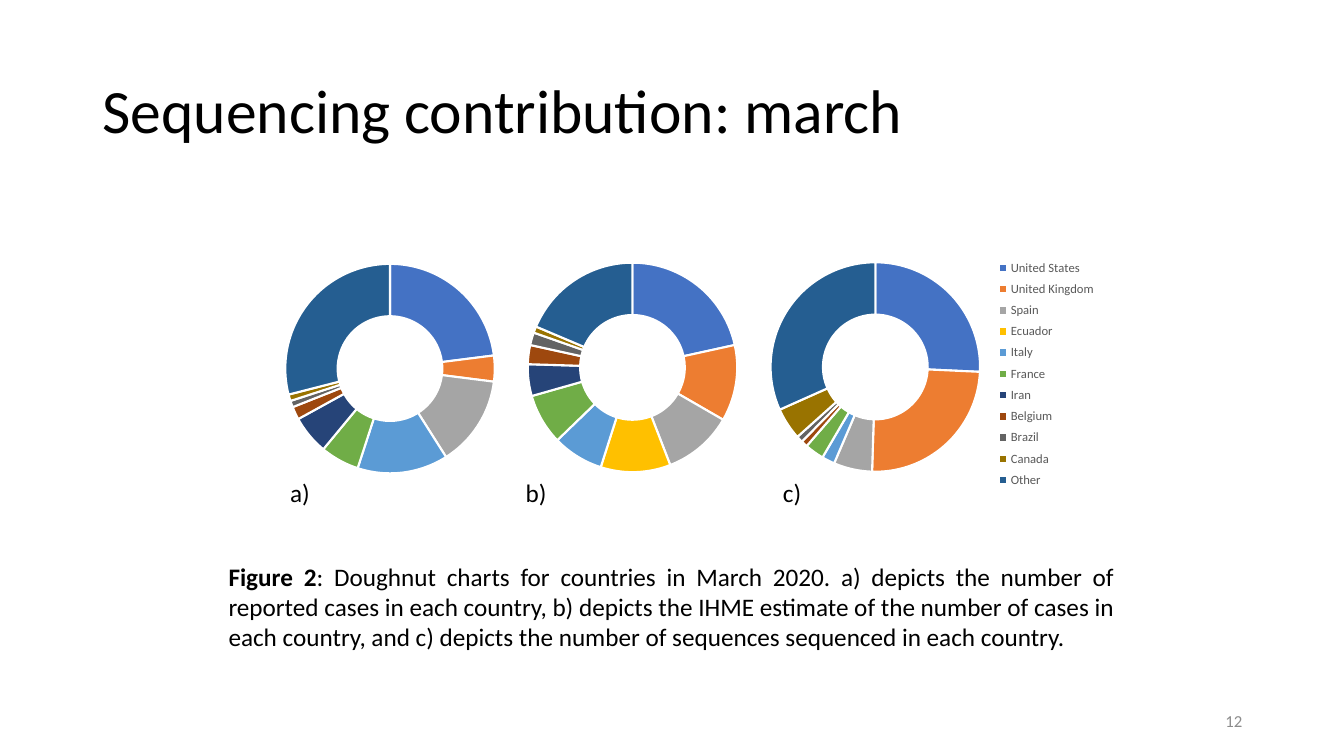
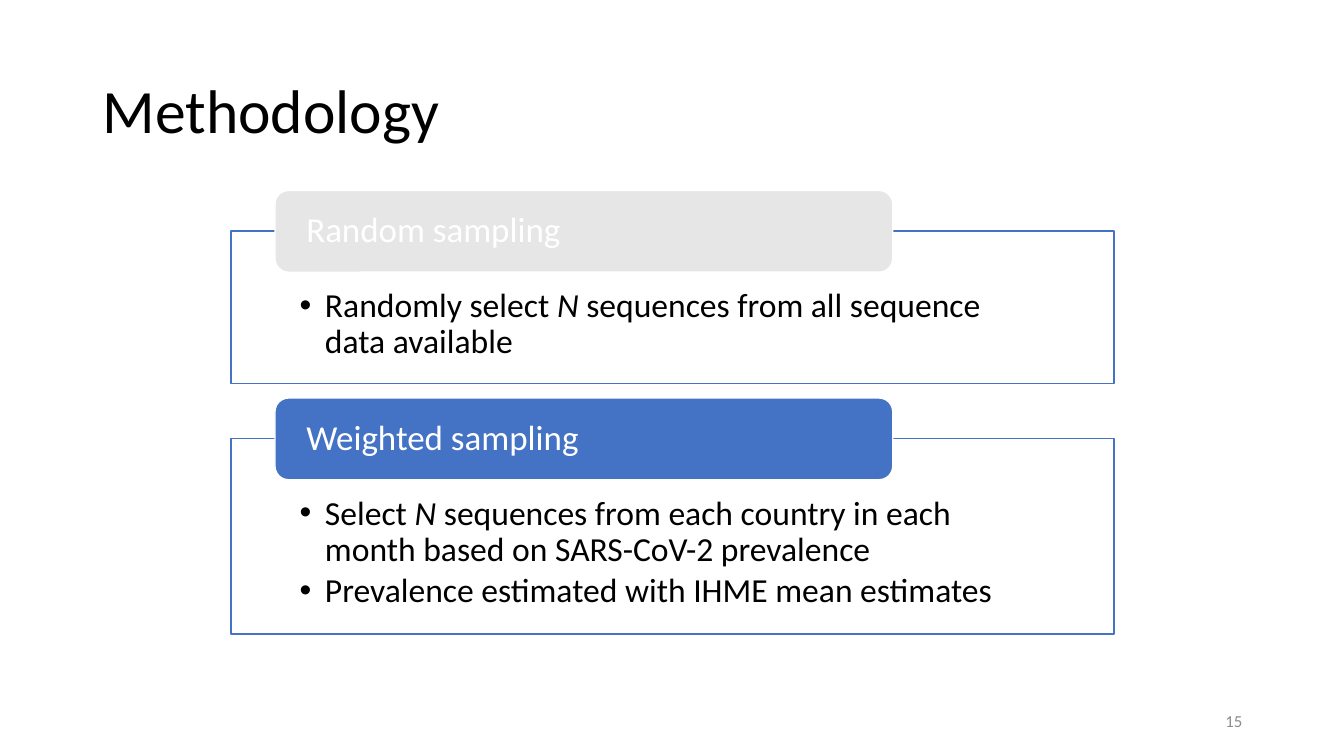
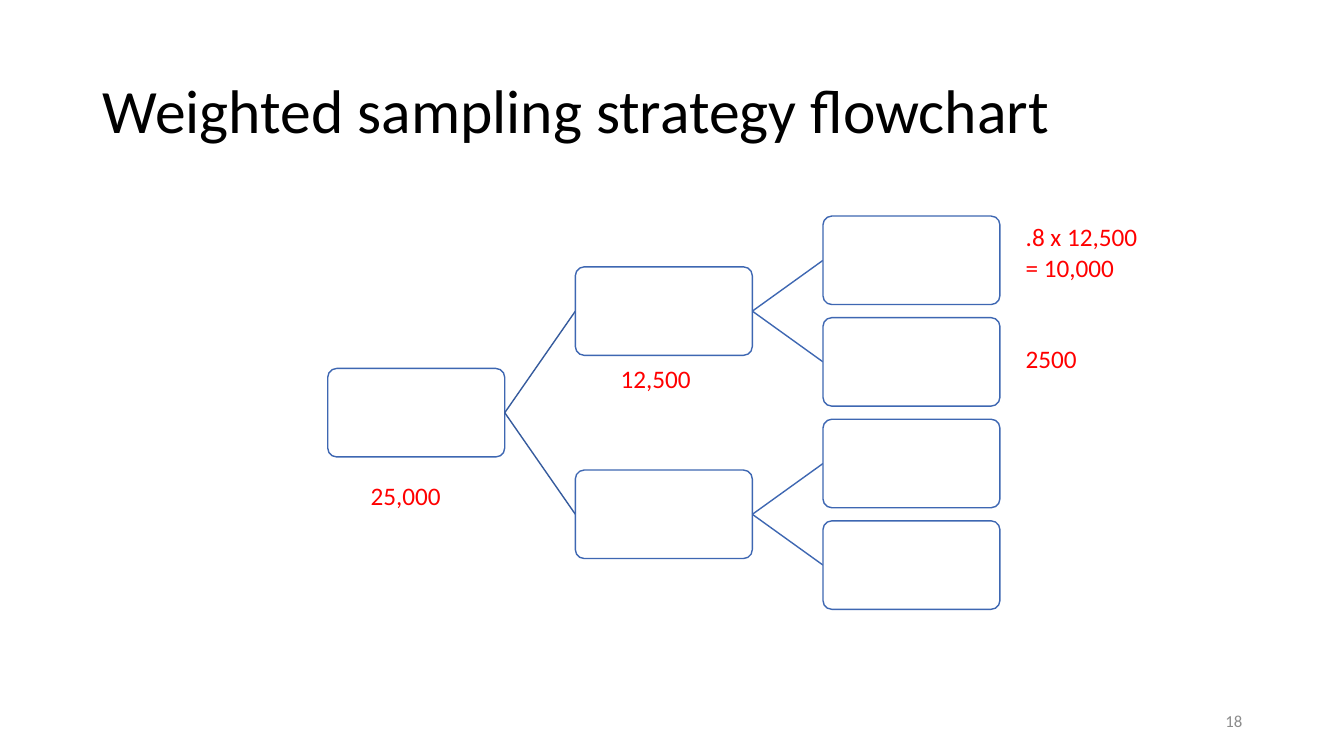
from lxml import etree
from pptx import Presentation
from pptx.chart.data import CategoryChartData
from pptx.dml.color import RGBColor
from pptx.enum.chart import XL_CHART_TYPE, XL_LEGEND_POSITION
from pptx.enum.shapes import MSO_CONNECTOR, MSO_SHAPE
from pptx.enum.text import MSO_ANCHOR, MSO_AUTO_SIZE, PP_ALIGN
from pptx.oxml.ns import qn
from pptx.util import Cm, Pt

LEFT, RIGHT, JUSTIFY = PP_ALIGN.LEFT, PP_ALIGN.RIGHT, PP_ALIGN.JUSTIFY
TOP, MIDDLE = MSO_ANCHOR.TOP, MSO_ANCHOR.MIDDLE
ROUNDED = MSO_SHAPE.ROUNDED_RECTANGLE
TITLE_ONLY, TWO_CONTENT = 5, 3

# Shared style
FONT = "Calibri"
COLORS = {
    "text": "000000", "white": "FFFFFF", "number": "8C8C8C", "legend": "595959",
    "accent": "4472C4", "muted": "E7E6E6", "tree": "3E67B2", "root_link": "365B9D",
    "count": "FF0000",
}
TITLE_BOX = (2.33, 1.01, 29.21, 3.68)
NUMBER_BOX = (23.94, 17.65, 7.62, 1.01)

# Slide 1 content: lengths in centimetres
COUNTRIES = {
    "United States": "4472C4", "United Kingdom": "ED7D31", "Spain": "A5A5A5",
    "Ecuador": "FFC000", "Italy": "5B9BD5", "France": "70AD47", "Iran": "264478",
    "Belgium": "9E480E", "Brazil": "636363", "Canada": "997300", "Other": "255E91",
}
RANKS = [str(rank) for rank in range(1, len(COUNTRIES) + 1)]
RING_SIZE = 5.28
DOUGHNUTS = [
    {"box": (6.02, 6.3, 7.62, 5.99), "center": (9.83, 9.29), "categories": RANKS,
     "values": (23, 4, 14, 0, 14, 6, 6, 2, 1, 1, 29)},
    {"box": (11.25, 6.27, 9.37, 5.99), "center": (15.94, 9.26), "categories": RANKS,
     "values": (22, 12, 11, 11, 8, 8, 5, 3, 2, 1, 19)},
    {"box": (19.05, 5.77, 8.79, 7.01), "center": (22.06, 9.25),
     "categories": list(COUNTRIES), "legend": (25, 6.4, 2.75, 6.05),
     "values": (26, 25, 6, 0, 2, 3, 0, 1, 1, 5, 32)},
]
DOUGHNUT_LABELS = [("a)", 7.06), ("b)", 13), ("c)", 19.48)]
CAPTION = [
    ("Figure 2", {"bold": True}),
    (": Doughnut charts for countries in March 2020. a) depicts the number of "
     "reported cases in each country, b) depicts the IHME estimate of the number "
     "of cases in each country, and c) depicts the number of sequences sequenced "
     "in each country.", {}),
]

# Slide 2 content
ITALIC = {"italic": True}
METHODS = [
    {"name": "Random sampling", "fill": "muted", "top": 5.82, "height": 3.84,
     "points": [[("Randomly select ", {}), ("N ", ITALIC),
                 ("sequences from all sequence data available", {})]]},
    {"name": "Weighted sampling", "fill": "accent", "top": 11.05, "height": 4.93,
     "points": [[("Select ", {}), ("N ", ITALIC),
                 ("sequences from each country in each month based on "
                  "SARS-CoV-2 prevalence", {})],
                [("Prevalence estimated with IHME mean estimates", {})]]},
]

# Slide 3 content
LEAF_COUNT, LEVELS = 4, 3
NODE_WIDTH, NODE_HEIGHT = 4.46, 2.23
TREE_LEFT, LEVEL_PITCH = 8.26, 6.24
FIRST_LEAF_CENTER, LEAF_PITCH = 6.56, 2.56
COUNTS = [
    ("25,000", (9.09, 11.99, 2.67, 1.02)),
    ("12,500", (15.39, 9.02, 2.67, 1.02)),
    (".8 x 12,500 = 10,000", (25.6, 5.46, 3.56, 1.8)),
    ("2500", (25.6, 8.53, 2.67, 1.02)),
]


def rgb(name):
    return RGBColor.from_string(COLORS[name])


def set_font(font, size, color="text", **style):
    font.color.rgb = rgb(color)
    for attribute, value in {"name": FONT, "size": Pt(size), **style}.items():
        setattr(font, attribute, value)


def place(shape, box):
    for attribute, length in zip(("left", "top", "width", "height"), box):
        setattr(shape, attribute, Cm(length))


def write(shape, paragraphs, size, color="text", anchor=TOP, margins=None, **layout):
    """Fill a shape with paragraphs, each a list of (text, style) runs."""
    frame = shape.text_frame
    settings = {"word_wrap": True, "auto_size": MSO_AUTO_SIZE.NONE,
                "vertical_anchor": anchor}
    sides = ("margin_left", "margin_top", "margin_right", "margin_bottom")
    settings.update(zip(sides, map(Cm, margins or ())))
    for attribute, value in settings.items():
        setattr(frame, attribute, value)
    for index, runs in enumerate(paragraphs):
        paragraph = frame.add_paragraph() if index else frame.paragraphs[0]
        for attribute, value in {"alignment": LEFT, **layout}.items():
            setattr(paragraph, attribute, value)
        for text, style in runs:
            run = paragraph.add_run()
            run.text = text
            set_font(run.font, size, color, **style)


def add_text(slide, text, box, size=18, **options):
    runs = [(text, {})] if isinstance(text, str) else text
    shape = slide.shapes.add_textbox(*map(Cm, box))
    write(shape, [runs], size, **options)


def set_box_style(shape, fill, line):
    shape.fill.solid()
    shape.fill.fore_color.rgb = rgb(fill)
    shape.line.color.rgb = rgb(line)
    shape.line.width = Pt(1)


def add_rounded(slide, box, fill, line):
    shape = slide.shapes.add_shape(ROUNDED, *map(Cm, box))
    shape.shadow.inherit = False
    set_box_style(shape, fill, line)
    return shape


def add_slide(presentation, title, number, layout=TITLE_ONLY):
    slide = presentation.slides.add_slide(presentation.slide_layouts[layout])
    place(slide.shapes.title, TITLE_BOX)
    write(slide.shapes.title, [[(title, {})]], 44, anchor=MIDDLE, line_spacing=0.9)
    add_text(slide, number, NUMBER_BOX, 12, color="number", anchor=MIDDLE,
             alignment=RIGHT)
    return slide


# Doughnut charts
def set_chart_layout(parent, index, part_box, chart_box, inner=False):
    """Position a chart part by fractions of the whole chart."""
    for old_layout in parent.findall(qn("c:layout")):
        parent.remove(old_layout)
    layout = etree.Element(qn("c:layout"))
    manual = etree.SubElement(layout, qn("c:manualLayout"))
    left, top, width, height = part_box
    chart_left, chart_top, chart_width, chart_height = chart_box
    values = {"layoutTarget": "inner"} if inner else {}
    values.update({
        "xMode": "edge", "yMode": "edge",
        "x": (left - chart_left) / chart_width, "y": (top - chart_top) / chart_height,
        "w": width / chart_width, "h": height / chart_height,
    })
    for tag, value in values.items():
        text = value if isinstance(value, str) else f"{value:.4f}"
        etree.SubElement(manual, qn(f"c:{tag}")).set("val", text)
    parent.insert(index, layout)


def add_doughnut(slide, doughnut):
    box = doughnut["box"]
    data = CategoryChartData()
    data.categories = doughnut["categories"]
    data.add_series("Series 1", doughnut["values"])
    chart = slide.shapes.add_chart(XL_CHART_TYPE.DOUGHNUT, *map(Cm, box), data).chart
    chart.has_title = False
    set_font(chart.font, 10)
    plot = chart.plots[0]
    plot.vary_by_categories = True
    for index, color in enumerate(COUNTRIES.values()):
        point = plot.series[0].points[index].format
        point.fill.solid()
        point.fill.fore_color.rgb = RGBColor.from_string(color)
        point.line.color.rgb = rgb("white")
        point.line.width = Pt(1.5)

    root = chart.element
    next(root.iter(qn("c:holeSize"))).set("val", "75")
    ring = [center - RING_SIZE / 2 for center in doughnut["center"]] + [RING_SIZE] * 2
    set_chart_layout(next(root.iter(qn("c:plotArea"))), 0, ring, box, inner=True)

    chart.has_legend = "legend" in doughnut
    if chart.has_legend:
        chart.legend.position = XL_LEGEND_POSITION.RIGHT
        chart.legend.include_in_layout = False
        set_font(chart.legend.font, 9, "legend")
        set_chart_layout(next(root.iter(qn("c:legend"))), 1, doughnut["legend"], box)


def build_contribution(presentation):
    slide = add_slide(presentation, "Sequencing contribution: march", "12")
    for doughnut in DOUGHNUTS:
        add_doughnut(slide, doughnut)
    for label, left in DOUGHNUT_LABELS:
        add_text(slide, label, (left, 11.91, 1.22, 1.02))
    add_text(slide, CAPTION, (5.51, 14.02, 22.83, 2.57), alignment=JUSTIFY)


# Framed lists with overlapping headings
def add_bullets(shape):
    for paragraph in shape.text_frame.paragraphs:
        properties = paragraph._p.get_or_add_pPr()
        properties.set("marL", str(Cm(0.64)))
        properties.set("indent", str(Cm(-0.64)))
        etree.SubElement(properties, qn("a:buChar")).set("char", "•")


def build_methodology(presentation):
    slide = add_slide(presentation, "Methodology", "15", TWO_CONTENT)
    for index, method in enumerate(METHODS, start=1):
        frame = slide.placeholders[index]
        place(frame, (5.82, method["top"], 22.25, method["height"]))
        set_box_style(frame, "white", "accent")
        write(frame, method["points"], 24, margins=(1.73, 1.45, 1.73, 0.48),
              line_spacing=0.9, space_before=Pt(0), space_after=Pt(3.6))
        add_bullets(frame)
        heading = add_rounded(slide, (6.93, method["top"] - 1.02, 15.57, 2.06),
                              method["fill"], "white")
        write(heading, [[(method["name"], {})]], 25, "white", MIDDLE,
              (0.69, 0, 0.69, 0), line_spacing=0.9)


# Binary tree
def add_link(slide, start, end, color):
    link = slide.shapes.add_connector(MSO_CONNECTOR.STRAIGHT, *map(Cm, start + end))
    link.line.color.rgb = rgb(color)
    link.line.width = Pt(1)
    etree.SubElement(link._element.spPr, qn("a:effectLst"))


def build_flowchart(presentation):
    slide = add_slide(presentation, "Weighted sampling strategy flowchart", "18")
    # Each parent is centred on its two children
    levels = [[FIRST_LEAF_CENTER + LEAF_PITCH * leaf for leaf in range(LEAF_COUNT)]]
    while len(levels) < LEVELS:
        children = levels[0]
        levels.insert(0, [(upper + lower) / 2 for upper, lower
                          in zip(children[::2], children[1::2])])
    for level, centers in enumerate(levels):
        left = TREE_LEFT + LEVEL_PITCH * level
        for index, center in enumerate(centers):
            if level:
                parent_right = left - LEVEL_PITCH + NODE_WIDTH
                add_link(slide, (parent_right, levels[level - 1][index // 2]),
                         (left, center), "root_link" if level == 1 else "tree")
            node = add_rounded(
                slide, (left, center - NODE_HEIGHT / 2, NODE_WIDTH, NODE_HEIGHT),
                "white", "tree")
            node.adjustments[0] = 0.1
    for count, box in COUNTS:
        add_text(slide, count, box, color="count")


def main():
    presentation = Presentation()
    presentation.slide_width = Cm(33.87)
    presentation.slide_height = Cm(19.05)
    build_contribution(presentation)
    build_methodology(presentation)
    build_flowchart(presentation)
    presentation.save("out.pptx")


if __name__ == "__main__":
    main()
